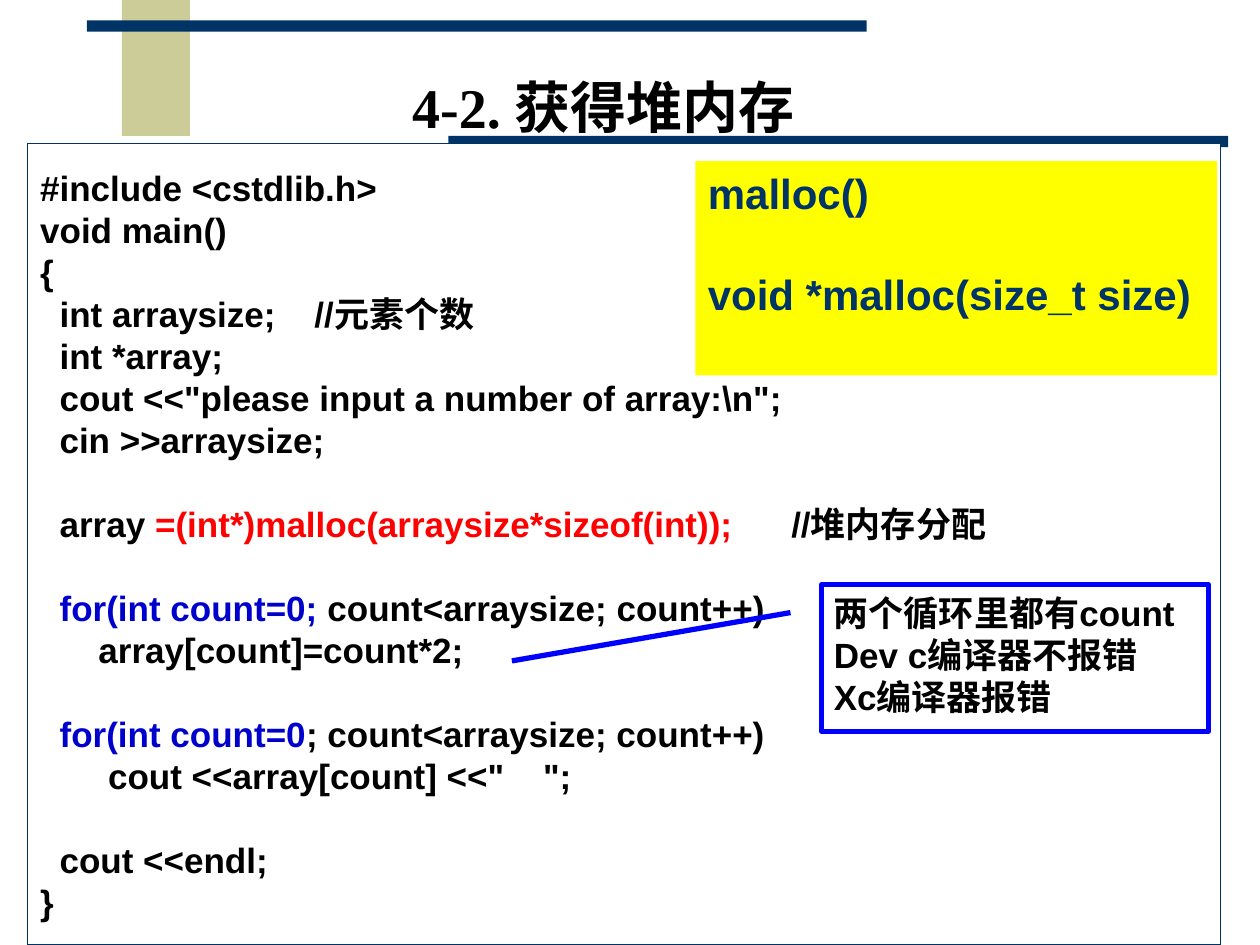
from dataclasses import dataclass

from pptx import Presentation
from pptx.dml.color import RGBColor
from pptx.enum.shapes import MSO_SHAPE
from pptx.enum.text import MSO_ANCHOR, MSO_AUTO_SIZE, PP_ALIGN
from pptx.util import Cm, Pt

RECT = MSO_SHAPE.RECTANGLE
CALLOUT = MSO_SHAPE.LINE_CALLOUT_1
TOP, MIDDLE = MSO_ANCHOR.TOP, MSO_ANCHOR.MIDDLE
LEFT, CENTER = PP_ALIGN.LEFT, PP_ALIGN.CENTER
NO_AUTOFIT = MSO_AUTO_SIZE.NONE
TITLE_ONLY = 5


@dataclass(frozen=True)
class Theme:
    black: str = "000000"
    white: str = "FFFFFF"
    navy: str = "003366"
    khaki: str = "CCCC99"
    yellow: str = "FFFF00"
    red: str = "FF0000"
    blue: str = "0000FF"
    keyword: str = "0000CC"
    title_font: str = "Times New Roman"
    body_font: str = "Arial"
    title_size: int = 32
    prototype_size: int = 24
    code_size: int = 20
    line_pitch: float = 1.2


THEME = Theme()

# Each line is a list of (text, colour) runs; an empty list is a skipped line.
BLACK, KEYWORD = THEME.black, THEME.keyword
CODE = [
    [("#include <cstdlib.h>", BLACK)],
    [("void main()", BLACK)],
    [("{", BLACK)],
    [("  int arraysize;    //元素个数", BLACK)],
    [("  int *array;", BLACK)],
    [('  cout <<"please input a number of array:\\n";', BLACK)],
    [("  cin >>arraysize;", BLACK)],
    [],
    [("  array ", BLACK),
     ("=(int*)malloc(arraysize*sizeof(int));", THEME.red),
     ("      //堆内存分配", BLACK)],
    [],
    [("  ", BLACK), ("for(int count=0;", KEYWORD),
     (" count<arraysize; count++)", BLACK)],
    [("      array[count]=count*2;", BLACK)],
    [],
    [("  ", BLACK), ("for(int count=0", KEYWORD),
     ("; count<arraysize; count++)", BLACK)],
    [('       cout <<array[count] <<"    ";', BLACK)],
    [],
    [("  cout <<endl;", BLACK)],
    [("}", BLACK)],
]
PROTOTYPE = [
    [("malloc()", THEME.navy)],
    [],
    [("void *malloc(size_t size)", THEME.navy)],
]
COMPILER_NOTE = [
    [("两个循环里都有count", BLACK)],
    [("Dev c编译器不报错", BLACK)],
    [("Xc编译器报错", BLACK)],
]


def add_run(p, text, color, size, font):
    r = p.add_run()
    r.text = text
    r.font.name = font
    r.font.size = Pt(size)
    r.font.bold = True
    r.font.color.rgb = RGBColor.from_string(color)


def add_box(slide, box, fill, line=None, width=0.75, kind=RECT):
    sp = slide.shapes.add_shape(kind, *map(Cm, box))
    sp.shadow.inherit = False
    sp.fill.solid()
    sp.fill.fore_color.rgb = RGBColor.from_string(fill)
    if line:
        sp.line.color.rgb = RGBColor.from_string(line)
        sp.line.width = Pt(width)
    else:
        sp.line.fill.background()
    return sp


def write_lines(sp, lines, size, anchor=TOP, wrap=True):
    """Fill a shape with lines on a fixed pitch; a skipped line becomes space before."""
    tf = sp.text_frame
    tf.word_wrap = wrap
    tf.vertical_anchor = anchor
    pitch = Pt(size * THEME.line_pitch)
    for i, runs in enumerate(lines):
        if not runs:
            continue
        p = tf.paragraphs[0] if i == 0 else tf.add_paragraph()
        p.alignment = LEFT
        p.line_spacing = pitch
        if i and not lines[i - 1]:
            p.space_before = pitch
        for text, color in runs:
            add_run(p, text, color, size, THEME.body_font)


def set_title(slide, text, box):
    sp = slide.shapes.title
    sp.left, sp.top, sp.width, sp.height = map(Cm, box)
    tf = sp.text_frame
    tf.word_wrap = True
    tf.auto_size = NO_AUTOFIT
    tf.vertical_anchor = MIDDLE
    p = tf.paragraphs[0]
    p.alignment = CENTER
    p.line_spacing = 0.85
    add_run(p, text, THEME.black, THEME.title_size, THEME.title_font)


def add_decoration(slide):
    add_box(slide, (2.46, 0, 1.37, 2.74), THEME.khaki)
    for left, top in ((1.75, 0.41), (9.04, 2.74)):
        add_box(slide, (left, top, 15.72, 0.23), THEME.navy)


def add_compiler_note(slide):
    sp = add_box(slide, (16.56, 11.79, 7.8, 2.95), THEME.white,
                 THEME.blue, 3, CALLOUT)
    for i, value in enumerate((0.19, -0.08, 0.52, -0.8)):
        sp.adjustments[i] = value
    write_lines(sp, COMPILER_NOTE, THEME.code_size)


def main():
    prs = Presentation()
    prs.slide_width, prs.slide_height = Cm(25.4), Cm(19.05)
    slide = prs.slides.add_slide(prs.slide_layouts[TITLE_ONLY])

    add_decoration(slide)
    set_title(slide, "4-2. 获得堆内存", (7.75, 1.45, 8.84, 1.6))

    code = add_box(slide, (0.56, 2.9, 24.05, 16.15), THEME.white, THEME.navy)
    write_lines(code, CODE, THEME.code_size, MIDDLE, wrap=False)

    prototype = add_box(slide, (14.02, 3.25, 10.52, 4.32), THEME.yellow)
    write_lines(prototype, PROTOTYPE, THEME.prototype_size)

    add_compiler_note(slide)
    prs.save("out.pptx")


if __name__ == "__main__":
    main()
